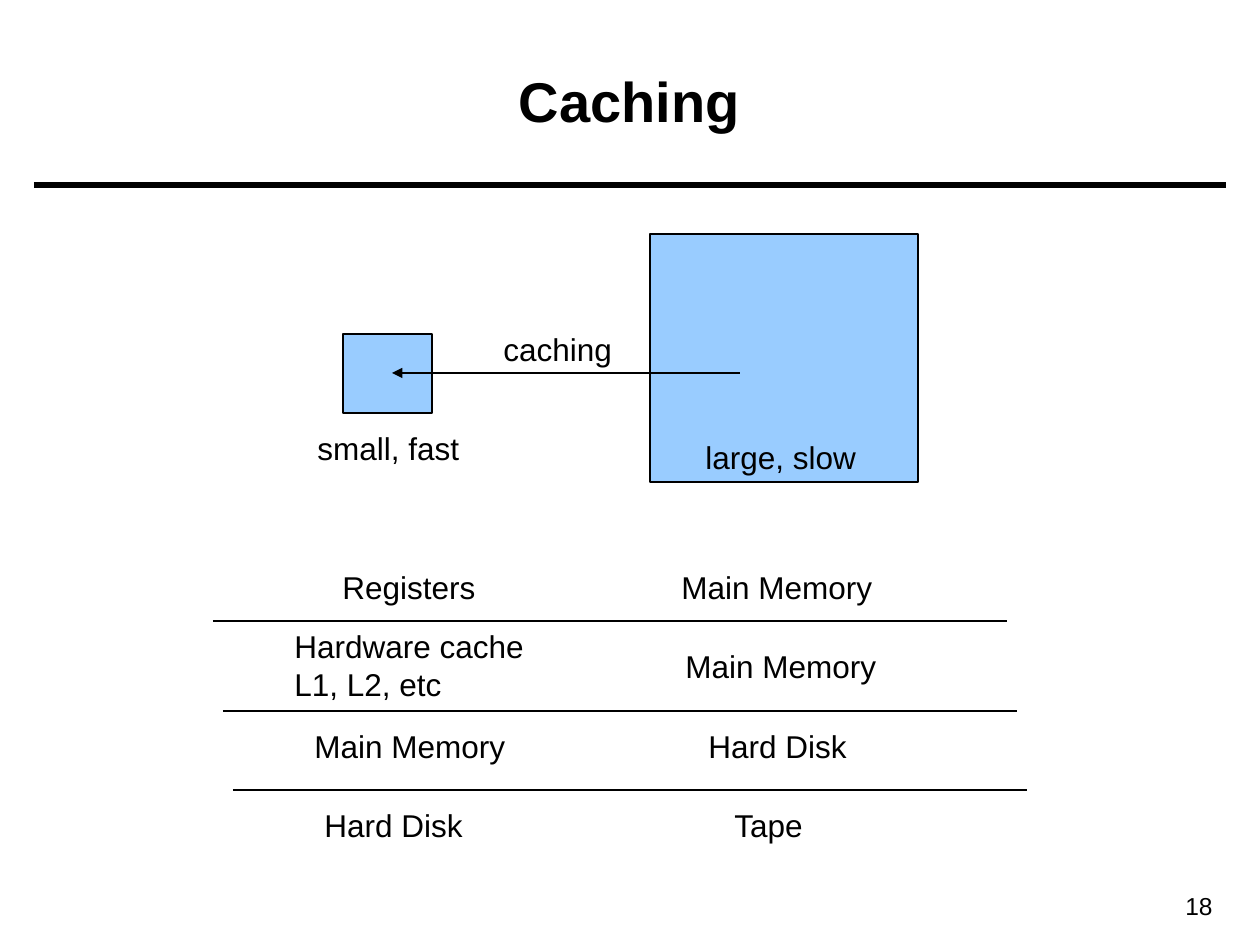
from dataclasses import dataclass
from lxml.etree import SubElement
from pptx import Presentation
from pptx.dml.color import RGBColor
from pptx.enum.shapes import MSO_CONNECTOR, MSO_SHAPE
from pptx.enum.text import MSO_ANCHOR, PP_ALIGN
from pptx.oxml.ns import qn
from pptx.slide import Slide
from pptx.util import Emu, Pt

PX_PER_INCH = 126


def px(length):
    return Emu(round(length * 914400 / PX_PER_INCH))


def color(value):
    return RGBColor.from_string(value)


@dataclass
class Sketch:
    page: Slide
    font: str = "Arial"
    ink: str = "000000"
    fill: str = "99CCFF"
    size: int = 18
    stroke: float = 0.75

    def text(self, words, left, top, width, height=50, size=None, bold=False,
             align=PP_ALIGN.LEFT, anchor=MSO_ANCHOR.TOP):
        box = self.page.shapes.add_textbox(px(left), px(top), px(width), px(height))
        frame = box.text_frame
        frame.text = words
        frame.word_wrap = True
        frame.vertical_anchor = anchor
        for paragraph in frame.paragraphs:
            paragraph.alignment = align
            for span in paragraph.runs:
                span.font.name = self.font
                span.font.size = Pt(size or self.size)
                span.font.bold = bold
                span.font.color.rgb = color(self.ink)

    def rectangle(self, left, top, width, height):
        shape = self.page.shapes.add_shape(
            MSO_SHAPE.RECTANGLE, px(left), px(top), px(width), px(height))
        shape.shadow.inherit = False
        shape.fill.solid()
        shape.fill.fore_color.rgb = color(self.fill)
        shape.line.color.rgb = color(self.ink)
        shape.line.width = Pt(self.stroke)

    def line(self, start, end, y, stroke=None, arrow=False):
        connector = self.page.shapes.add_connector(
            MSO_CONNECTOR.STRAIGHT, px(start), px(y), px(end), px(y))
        connector.line.color.rgb = color(self.ink)
        connector.line.width = Pt(stroke or self.stroke)
        if arrow:
            SubElement(connector.line._get_or_add_ln(), qn("a:tailEnd"), type="triangle")
        SubElement(connector._element.spPr, qn("a:effectLst"))


def main():
    deck = Presentation()
    deck.slide_width, deck.slide_height = px(1260), px(945)
    sketch = Sketch(deck.slides.add_slide(deck.slide_layouts[6]))

    sketch.line(34, 1226, 185, stroke=3)
    sketch.text("18", 1094, 885, 131, 43, size=14, align=PP_ALIGN.RIGHT)
    sketch.text("Caching", 44, 21, 1171, 158, size=32, bold=True,
                align=PP_ALIGN.CENTER, anchor=MSO_ANCHOR.MIDDLE)

    sketch.rectangle(343, 334, 89, 79)
    sketch.text("small, fast", 305, 423, 174)
    sketch.rectangle(650, 234, 268, 248)
    sketch.text("large, slow", 693, 432, 183)
    sketch.line(740, 392, 373, arrow=True)
    sketch.text("caching", 491, 324, 142)

    levels = [
        ("Registers", 330, 562, 174),
        ("Main Memory", 669, 562, 223),
        ("Hardware cache\vL1, L2, etc", 282, 621, 263, 88),
        ("Main Memory", 673, 641, 223),
        ("Main Memory", 302, 721, 223),
        ("Hard Disk", 696, 721, 171),
        ("Hard Disk", 312, 800, 171),
        ("Tape", 722, 800, 105),
    ]
    for level in levels:
        sketch.text(*level)

    for index, y in enumerate((621, 711, 790)):
        start = 213 + 10 * index
        sketch.line(start, start + 794, y)

    deck.save("out.pptx")


if __name__ == "__main__":
    main()
